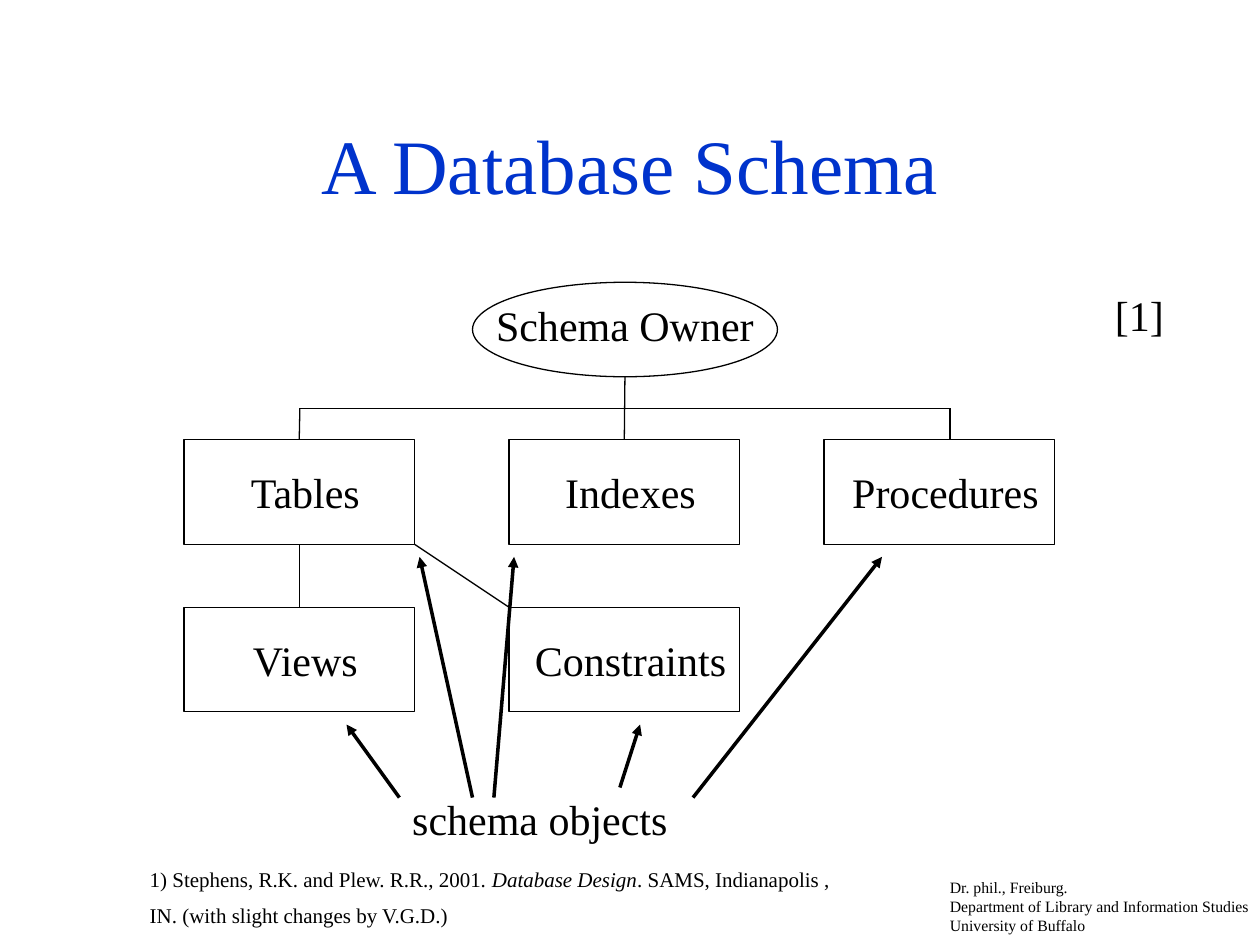
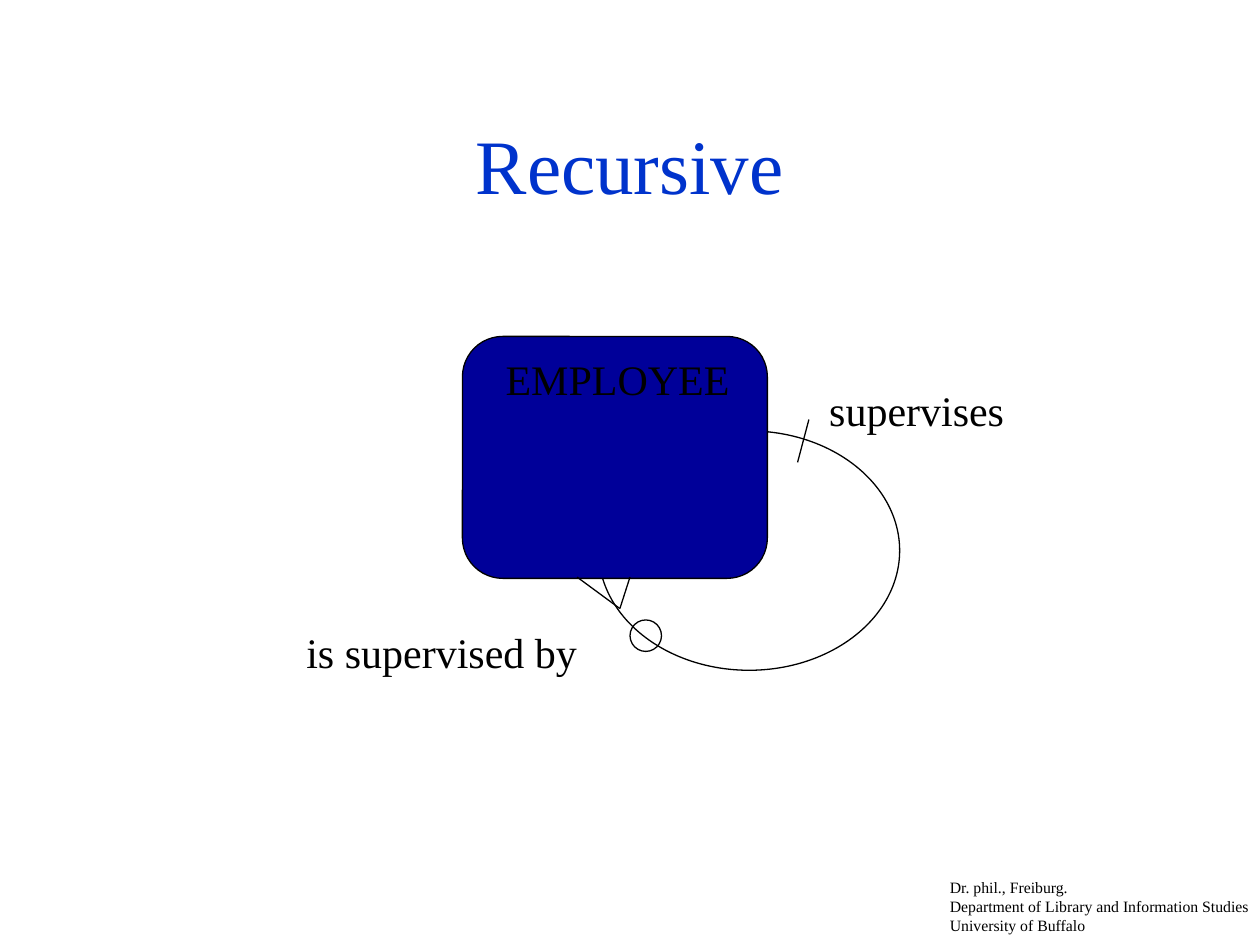
from dataclasses import dataclass
from typing import NamedTuple, Optional

import pptx
import pptx.dml.color
import pptx.enum.shapes
import pptx.enum.text
import pptx.oxml.ns
import pptx.util
from lxml import etree
from pptx.util import Inches

Preset = pptx.enum.shapes.MSO_SHAPE
Align = pptx.enum.text.PP_ALIGN
Anchor = pptx.enum.text.MSO_ANCHOR
TOP, BOTTOM = 0, 2


@dataclass(frozen=True)
class Theme:
    font: str = "Times New Roman"
    title: str = "0033CC"
    ink: str = "000000"
    entity: str = "000099"
    title_size: float = 44
    label_size: float = 24
    citation_size: float = 12
    footer_size: float = 9
    thin: float = 0.75
    thick: float = 2


class Box(NamedTuple):
    left: float
    top: float
    width: float
    height: float

    def lengths(self) -> list:
        return [Inches(value) for value in self]


class Line(NamedTuple):
    x1: float
    y1: float
    x2: float
    y2: float


class SchemaObject(NamedTuple):
    name: str
    left: float
    top: float


THEME = Theme()
FOOTER = ("Dr. phil., Freiburg.", "Department of Library and Information Studies",
          "University of Buffalo")

OBJECT_WIDTH, OBJECT_HEIGHT = 1.83, 0.83
COLUMNS = (1.46, 4.04, 6.54)
ROWS = (3.49, 4.82)
SCHEMA_OBJECTS = (
    SchemaObject("Tables", COLUMNS[0], ROWS[0]),
    SchemaObject("Indexes", COLUMNS[1], ROWS[0]),
    SchemaObject("Procedures", COLUMNS[2], ROWS[0]),
    SchemaObject("Views", COLUMNS[0], ROWS[1]),
    SchemaObject("Constraints", COLUMNS[1], ROWS[1]),
)
BUS_Y, BUS_LEFT, BUS_MIDDLE, BUS_RIGHT = 3.24, 2.38, 4.96, 7.54
OBJECT_ARROWS = (
    Line(3.17, 6.33, 2.75, 5.75),
    Line(3.92, 6.33, 4.08, 4.42),
    Line(3.75, 6.33, 3.33, 4.42),
    Line(4.92, 6.25, 5.08, 5.75),
    Line(5.5, 6.33, 7, 4.42),
)
RELATION_MARKS = (
    Line(4.58, 4.58, 4.92, 4.83),
    Line(4.92, 4.83, 5, 4.58),
    Line(6.33, 3.67, 6.42, 3.33),
)


def rgb(value: str) -> pptx.dml.color.RGBColor:
    return pptx.dml.color.RGBColor.from_string(value)


def write_text(frame, *paragraphs: str, size: float = THEME.label_size,
               color: str = THEME.ink, align=Align.CENTER, anchor=Anchor.TOP,
               wrap: bool = False, gap: float = 0) -> None:
    """Fill a text frame; words between asterisks are italic."""
    frame.word_wrap = wrap
    frame.vertical_anchor = anchor
    for index, content in enumerate(paragraphs):
        paragraph = frame.add_paragraph() if index else frame.paragraphs[0]
        paragraph.alignment = align
        if index:
            paragraph.space_before = pptx.util.Pt(gap)
        for part, words in enumerate(content.split("*")):
            run = paragraph.add_run()
            run.text = words
            run.font.name = THEME.font
            run.font.size = pptx.util.Pt(size)
            run.font.italic = part % 2 == 1
            run.font.color.rgb = rgb(color)


def add_text(slide, box: Box, *paragraphs: str, **text_format):
    frame = slide.shapes.add_textbox(*box.lengths()).text_frame
    write_text(frame, *paragraphs, **text_format)
    return frame


def add_outline(slide, preset, box: Box, fill: Optional[str] = None):
    shape = slide.shapes.add_shape(preset, *box.lengths())
    shape.shadow.inherit = False
    if fill:
        shape.fill.solid()
        shape.fill.fore_color.rgb = rgb(fill)
    else:
        shape.fill.background()
    shape.line.color.rgb = rgb(THEME.ink)
    shape.line.width = pptx.util.Pt(THEME.thin)
    return shape


def add_line(slide, line: Line, width: float = THEME.thin, arrow: bool = False):
    connector = slide.shapes.add_connector(
        pptx.enum.shapes.MSO_CONNECTOR.STRAIGHT, *[Inches(value) for value in line])
    connector.line.color.rgb = rgb(THEME.ink)
    connector.line.width = pptx.util.Pt(width)
    if arrow:
        etree.SubElement(connector.line._get_or_add_ln(),
                         pptx.oxml.ns.qn("a:tailEnd"), type="triangle")
    etree.SubElement(connector._element.spPr, pptx.oxml.ns.qn("a:effectLst"))
    return connector


def add_titled_slide(deck, title: str):
    slide = deck.slides.add_slide(deck.slide_layouts[6])
    footer = add_text(slide, Box(7.44, 6.92, 2.56, 0.55), *FOOTER,
                      size=THEME.footer_size, align=Align.LEFT, wrap=True)
    footer.margin_right = 0
    add_text(slide, Box(0.75, 0.67, 8.5, 1.25), title, size=THEME.title_size,
             color=THEME.title, anchor=Anchor.MIDDLE, wrap=True)
    return slide


def add_schema_object(slide, item: SchemaObject):
    shape = add_outline(slide, Preset.RECTANGLE,
                        Box(item.left, item.top, OBJECT_WIDTH, OBJECT_HEIGHT))
    shape.text_frame.margin_left = Inches(0.1)
    shape.text_frame.margin_right = 0
    write_text(shape.text_frame, item.name, anchor=Anchor.MIDDLE)
    return shape


def build_schema_slide(deck) -> None:
    slide = add_titled_slide(deck, "A Database Schema")
    objects = {item.name: add_schema_object(slide, item) for item in SCHEMA_OBJECTS}

    owner = add_outline(slide, Preset.OVAL, Box(3.75, 2.24, 2.42, 0.75))
    owner.text_frame.margin_bottom = Inches(0.13)
    write_text(owner.text_frame, "Schema Owner", anchor=Anchor.MIDDLE)

    add_line(slide, Line(BUS_LEFT, BUS_Y, BUS_RIGHT, BUS_Y))
    for name, x, start in (("Tables", BUS_LEFT, BUS_Y), ("Indexes", BUS_MIDDLE, 2.99)):
        drop = add_line(slide, Line(x, start, x, ROWS[0]))
        drop.end_connect(objects[name], TOP)
    add_line(slide, Line(BUS_RIGHT, BUS_Y, BUS_RIGHT, ROWS[0]))

    table_bottom = ROWS[0] + OBJECT_HEIGHT
    views_link = add_line(slide, Line(BUS_LEFT, table_bottom, BUS_LEFT, ROWS[1]))
    views_link.begin_connect(objects["Tables"], BOTTOM)
    views_link.end_connect(objects["Views"], TOP)
    add_line(slide, Line(COLUMNS[0] + OBJECT_WIDTH, table_bottom, COLUMNS[1], ROWS[1]))

    add_text(slide, Box(3.17, 6.25, 2.23, 0.5), "schema objects")
    for arrow in OBJECT_ARROWS:
        add_line(slide, arrow, width=THEME.thick, arrow=True)

    add_text(slide, Box(1.09, 6.83, 6.3, 0.6),
             "1) Stephens, R.K. and Plew. R.R., 2001. *Database Design*. SAMS, Indianapolis ,",
             "IN. (with slight changes by V.G.D.)",
             size=THEME.citation_size, align=Align.LEFT, wrap=True, gap=6)
    add_text(slide, Box(8.75, 2.25, 0.59, 0.5), "[1]", align=Align.LEFT)


def build_recursive_slide(deck) -> None:
    slide = add_titled_slide(deck, "Recursive")
    add_outline(slide, Preset.OVAL, Box(4.75, 3.42, 2.39, 1.9))

    employee = add_outline(slide, Preset.ROUNDED_RECTANGLE,
                           Box(3.67, 2.67, 2.42, 1.92), fill=THEME.entity)
    employee.text_frame.margin_left = Inches(0.14)
    employee.text_frame.margin_top = Inches(0.04)
    write_text(employee.text_frame, "EMPLOYEE")

    for mark in RELATION_MARKS:
        add_line(slide, mark)
    add_outline(slide, Preset.OVAL, Box(5, 4.92, 0.25, 0.25))
    add_text(slide, Box(6.48, 3, 1.59, 0.5), "supervises")
    add_text(slide, Box(2.33, 4.92, 2.35, 0.5), "is supervised by")


def main() -> None:
    deck = pptx.Presentation()
    deck.slide_width, deck.slide_height = Inches(10), Inches(7.5)
    build_schema_slide(deck)
    build_recursive_slide(deck)
    deck.save("out.pptx")


if __name__ == "__main__":
    main()
